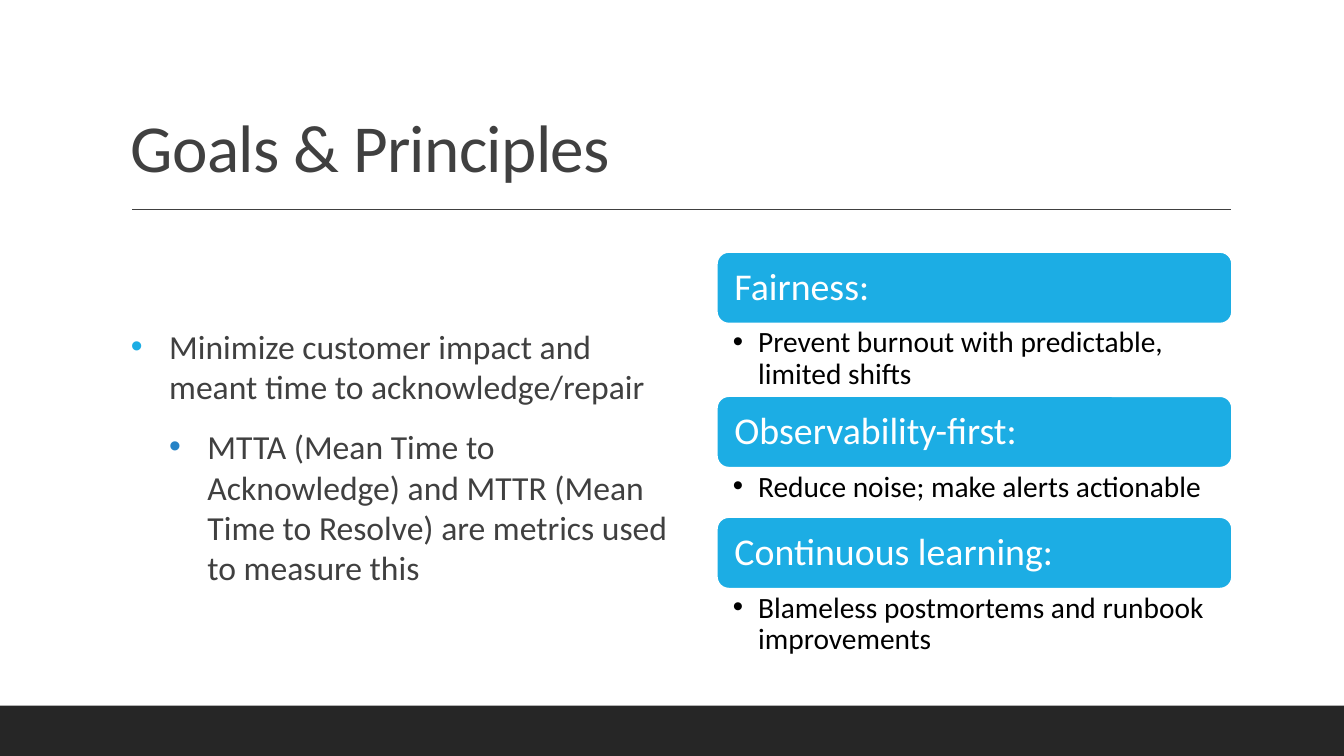
from lxml import etree
from pptx import Presentation
from pptx.dml.color import RGBColor
from pptx.enum.shapes import MSO_CONNECTOR as Connector, MSO_SHAPE as Shape
from pptx.enum.text import MSO_ANCHOR as Anchor, PP_ALIGN as Align
from pptx.oxml.ns import qn
from pptx.util import Inches, Pt

WHITE = RGBColor(0xFF, 0xFF, 0xFF)
BLACK = RGBColor(0x00, 0x00, 0x00)
CHARCOAL = RGBColor(0x26, 0x26, 0x26)
GRAY = RGBColor(0x40, 0x40, 0x40)
CYAN = RGBColor(0x1C, 0xAD, 0xE4)
BLUE = RGBColor(0x26, 0x83, 0xC6)

CARD_LEFT, CARD_TOP, CARD_WIDTH, HEADING_HEIGHT = 7.11, 2.5, 5.11, 0.71
PRINCIPLES = [
    ("Fairness:", "Prevent burnout with predictable, limited shifts", 0.72),
    ("Observability-first:", "Reduce noise; make alerts actionable", 0.49),
    ("Continuous learning:", "Blameless postmortems and runbook improvements", 0.72),
]
GOALS = [
    ("Minimize customer impact and meant time to acknowledge/repair", CYAN),
    ("MTTA (Mean Time to Acknowledge) and MTTR (Mean Time to Resolve) "
     "are metrics used to measure this", BLUE),
]


def set_frame(shape, insets, anchor):
    frame = shape.text_frame
    frame.word_wrap = True
    frame.vertical_anchor = anchor
    (frame.margin_left, frame.margin_top,
     frame.margin_right, frame.margin_bottom) = map(Inches, insets)
    return frame


def add_text_box(page, area, insets, anchor):
    box = page.shapes.add_textbox(*map(Inches, area))
    return set_frame(box, insets, anchor)


def add_block(page, kind, area, fill):
    block = page.shapes.add_shape(kind, *map(Inches, area))
    block.shadow.inherit = False
    block.fill.solid()
    block.fill.fore_color.rgb = fill
    block.line.fill.background()
    return block


def set_bullet(para, color, left, hanging):
    properties = para._p.get_or_add_pPr()
    properties.set("marL", str(Inches(left)))
    properties.set("indent", str(-Inches(hanging)))
    bullet_color = etree.SubElement(properties, qn("a:buClr"))
    etree.SubElement(bullet_color, qn("a:srgbClr"), val=str(color))
    etree.SubElement(properties, qn("a:buFont"), typeface="Arial")
    etree.SubElement(properties, qn("a:buChar"), char="•")


def write(para, text, size, color, spacing=None):
    para.text = text
    para.alignment = Align.LEFT
    para.line_spacing = spacing
    para.font.name = "Calibri"
    para.font.size = Pt(size)
    para.font.color.rgb = color


def add_title(page):
    frame = add_text_box(page, (1.2, 0.31, 11, 1.59), (0.1, 0.05, 0.1, 0.05), Anchor.BOTTOM)
    para = frame.paragraphs[0]
    write(para, "Goals & Principles", 48, GRAY, 0.9)
    para.runs[0].font._element.set("spc", "-50")


def add_rule(page):
    rule = page.shapes.add_connector(
        Connector.STRAIGHT, Inches(1.31), Inches(2.08), Inches(12.21), Inches(2.08))
    rule.line.color.rgb = GRAY
    rule.line.width = Pt(1)
    etree.SubElement(rule._element.spPr, qn("a:effectLst"))


def add_goals(page):
    frame = add_text_box(page, (1.2, 2.39, 5.47, 4.28), (0.1, 0.05, 0, 0.05), Anchor.MIDDLE)
    for level, (text, bullet_color) in enumerate(GOALS):
        para = frame.add_paragraph() if level else frame.paragraphs[0]
        para.level = level
        set_bullet(para, bullet_color, 0.38 * (level + 1), 0.38)
        write(para, text, 24, GRAY)
        para.space_after = Pt(2)
        if level:
            para.space_before = Pt(12)


def add_principle(page, top, heading, detail, detail_height):
    card = add_block(page, Shape.ROUNDED_RECTANGLE,
                     (CARD_LEFT, top, CARD_WIDTH, HEADING_HEIGHT), CYAN)
    card.line.color.rgb = WHITE
    card.line.width = Pt(1.25)
    frame = set_frame(card, (0.14, 0.1, 0.14, 0.1), Anchor.MIDDLE)
    write(frame.paragraphs[0], heading, 27, WHITE, 0.9)

    area = (CARD_LEFT, top + HEADING_HEIGHT, CARD_WIDTH, detail_height)
    para = add_text_box(page, area, (0.16, 0.04, 0.21, 0.04), Anchor.TOP).paragraphs[0]
    set_bullet(para, BLACK, 0.25, 0.25)
    write(para, detail, 21, BLACK, 0.9)


def main():
    deck = Presentation()
    deck.slide_width, deck.slide_height = Inches(13.33), Inches(7.5)
    page = deck.slides.add_slide(deck.slide_layouts[6])
    add_block(page, Shape.RECTANGLE, (0, 7, 13.33, 0.5), CHARCOAL)
    add_rule(page)
    add_title(page)
    add_goals(page)
    top = CARD_TOP
    for heading, detail, detail_height in PRINCIPLES:
        add_principle(page, top, heading, detail, detail_height)
        top += HEADING_HEIGHT + detail_height
    deck.save("out.pptx")


if __name__ == "__main__":
    main()
